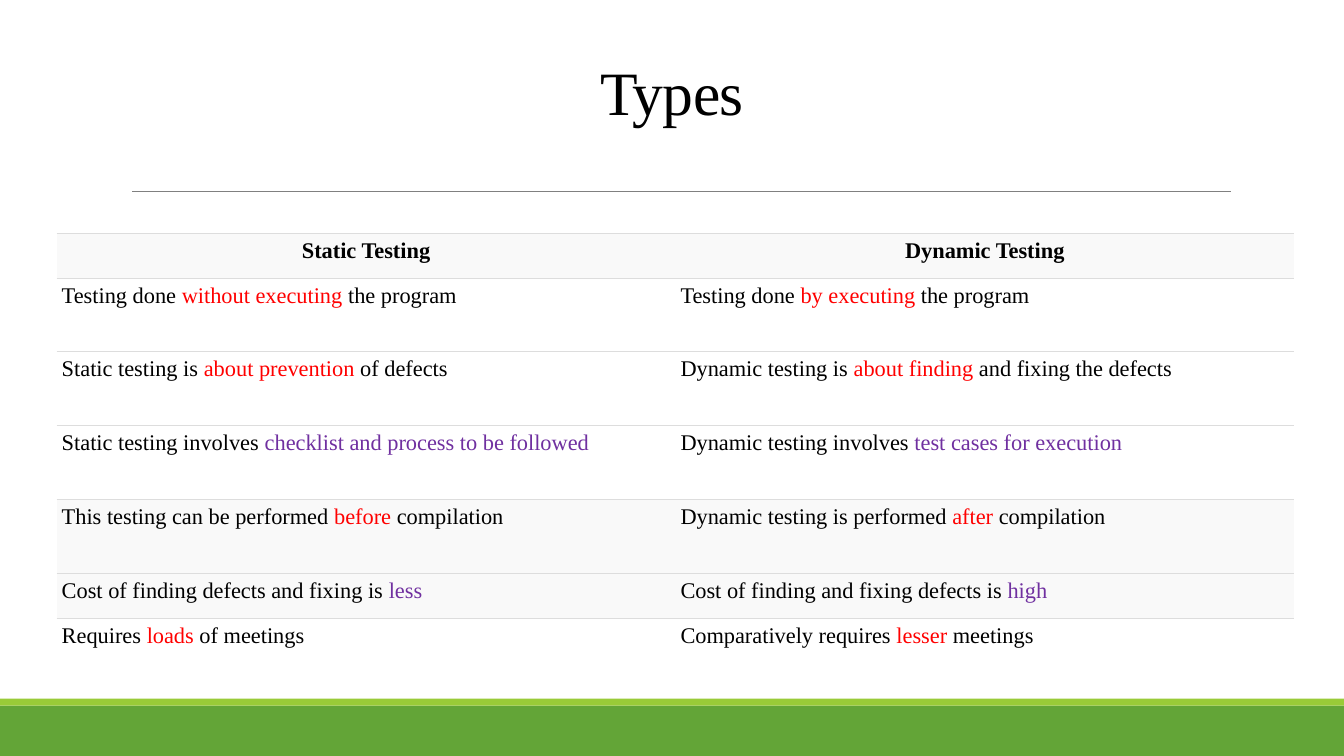
"""Build the slide that compares static and dynamic testing."""
import lxml.etree
import pptx
import pptx.dml.color
import pptx.enum.shapes
import pptx.enum.text
import pptx.oxml.ns
import pptx.util

Pt = pptx.util.Pt
qn = pptx.oxml.ns.qn
Align = pptx.enum.text.PP_ALIGN

FONT = "Times New Roman"
BLACK, RED, PURPLE = "000000", "FF0000", "7030A0"
WHITE, PALE, RULE = "FFFFFF", "F9F9F9", "DDDDDD"

HEADINGS = ("Static Testing", "Dynamic Testing")
COMPARISONS = [
    (52, WHITE, RED,
     ("Testing done ", "without executing", " the program"),
     ("Testing done ", "by executing", " the program")),
    (53, WHITE, RED,
     ("Static testing is ", "about prevention ", "of defects"),
     ("Dynamic testing is ", "about finding", " and fixing the defects")),
    (53, WHITE, PURPLE,
     ("Static testing involves ", "checklist and process to be followed"),
     ("Dynamic testing involves ", "test cases for execution")),
    (53, PALE, RED,
     ("This testing can be performed ", "before", " compilation"),
     ("Dynamic testing is performed ", "after ", "compilation")),
    (32, PALE, PURPLE,
     ("Cost of finding defects and fixing is ", "less"),
     ("Cost of finding and fixing defects is ", "high")),
    (32, WHITE, RED,
     ("Requires ", "loads", " of meetings"),
     ("Comparatively requires ", "lesser", " meetings")),
]


def paint(color_format, color):
    """Set a colour from a hex string."""
    color_format.rgb = pptx.dml.color.RGBColor.from_string(color)


def add_span(para, text, size, color=BLACK, bold=False):
    """Append one formatted run to a paragraph."""
    span = para.add_run()
    span.text = text
    span.font.name = FONT
    span.font.size = Pt(size)
    span.font.bold = bold
    paint(span.font.color, color)
    return span


def add_band(page, top, height, color):
    """Draw a full-width band without an outline."""
    band = page.shapes.add_shape(
        pptx.enum.shapes.MSO_SHAPE.RECTANGLE, 0, Pt(top), Pt(960), Pt(height))
    band.shadow.inherit = False
    band.fill.solid()
    paint(band.fill.fore_color, color)
    band.line.fill.background()


def add_divider(page, left, right, top):
    """Draw the thin grey line below the title."""
    divider = page.shapes.add_connector(
        pptx.enum.shapes.MSO_CONNECTOR.STRAIGHT,
        Pt(left), Pt(top), Pt(right), Pt(top))
    divider.line.width = Pt(0.5)
    paint(divider.line.color, "808080")
    properties = divider._element.find(qn("p:spPr"))
    lxml.etree.SubElement(properties, qn("a:effectLst"))


def add_title(page, text):
    """Place the centred title."""
    box = page.shapes.add_textbox(Pt(66), Pt(44.5), Pt(828), Pt(47.5))
    frame = box.text_frame
    frame.word_wrap = True
    frame.vertical_anchor = pptx.enum.text.MSO_ANCHOR.MIDDLE
    para = frame.paragraphs[0]
    para.alignment = Align.CENTER
    para.line_spacing = 0.9
    span = add_span(para, text, 44)
    span._r.get_or_add_rPr().set("spc", "-50")


def set_borders(cell, ruled_sides):
    """Rule the named sides of a cell and clear the others."""
    properties = cell._tc.get_or_add_tcPr()
    for position, side in enumerate("LRTB"):
        border = lxml.etree.Element(qn(f"a:ln{side}"), w=str(Pt(0.75)))
        if side in ruled_sides:
            fill = lxml.etree.SubElement(border, qn("a:solidFill"))
            lxml.etree.SubElement(fill, qn("a:srgbClr"), val=RULE)
        else:
            lxml.etree.SubElement(border, qn("a:noFill"))
        properties.insert(position, border)


def style_cell(cell, fill, ruled_sides):
    """Set the margins, fill and borders of a cell."""
    cell.margin_left = cell.margin_right = Pt(3.6)
    cell.margin_top = cell.margin_bottom = Pt(3.6)
    cell.fill.solid()
    paint(cell.fill.fore_color, fill)
    set_borders(cell, ruled_sides)


def add_comparison_table(page):
    """Build the table with a heading row and one row per comparison."""
    heights = [32] + [comparison[0] for comparison in COMPARISONS]
    table = page.shapes.add_table(
        len(heights), 2, Pt(40.5), Pt(167), Pt(884), Pt(sum(heights))).table
    table.first_row = table.horz_banding = False
    for row, height in zip(table.rows, heights):
        row.height = Pt(height)
    for column, heading in enumerate(HEADINGS):
        cell = table.cell(0, column)
        style_cell(cell, PALE, "TB")
        para = cell.text_frame.paragraphs[0]
        para.alignment = Align.CENTER
        add_span(para, heading, 16, bold=True)
    for row, (_, fill, accent, *phrases) in enumerate(COMPARISONS, 1):
        ruled_sides = "T" if row == len(COMPARISONS) else "TB"
        for column, phrase in enumerate(phrases):
            cell = table.cell(row, column)
            style_cell(cell, fill, ruled_sides)
            para = cell.text_frame.paragraphs[0]
            for part, color in zip(phrase, (BLACK, accent, BLACK)):
                add_span(para, part, 16, color)


def main():
    """Create and save the deck."""
    deck = pptx.Presentation()
    deck.slide_width, deck.slide_height = Pt(960), Pt(540)
    page = deck.slides.add_slide(deck.slide_layouts[6])
    add_band(page, 504, 36, "63A537")
    add_band(page, 499, 5, "99CB38")
    add_divider(page, 94.5, 879, 136.5)
    add_title(page, "Types")
    add_comparison_table(page)
    deck.save("out.pptx")


if __name__ == "__main__":
    main()
